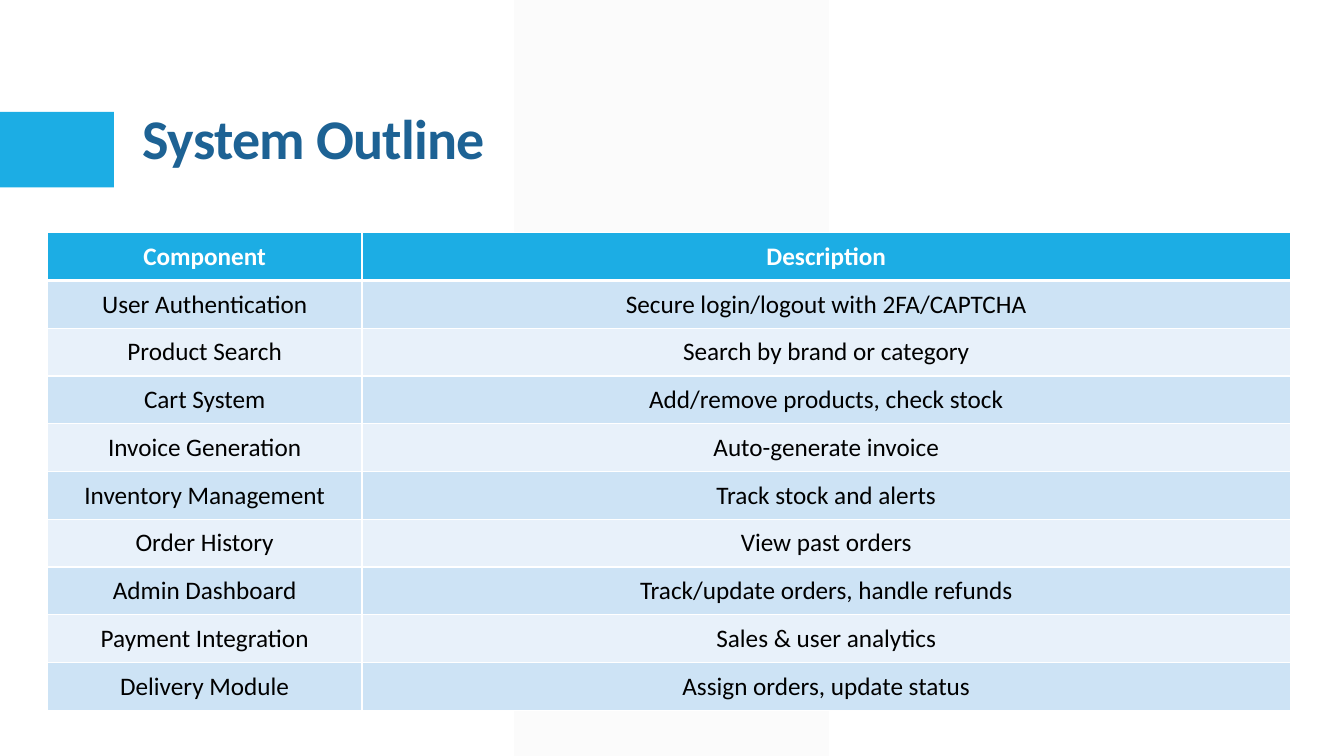
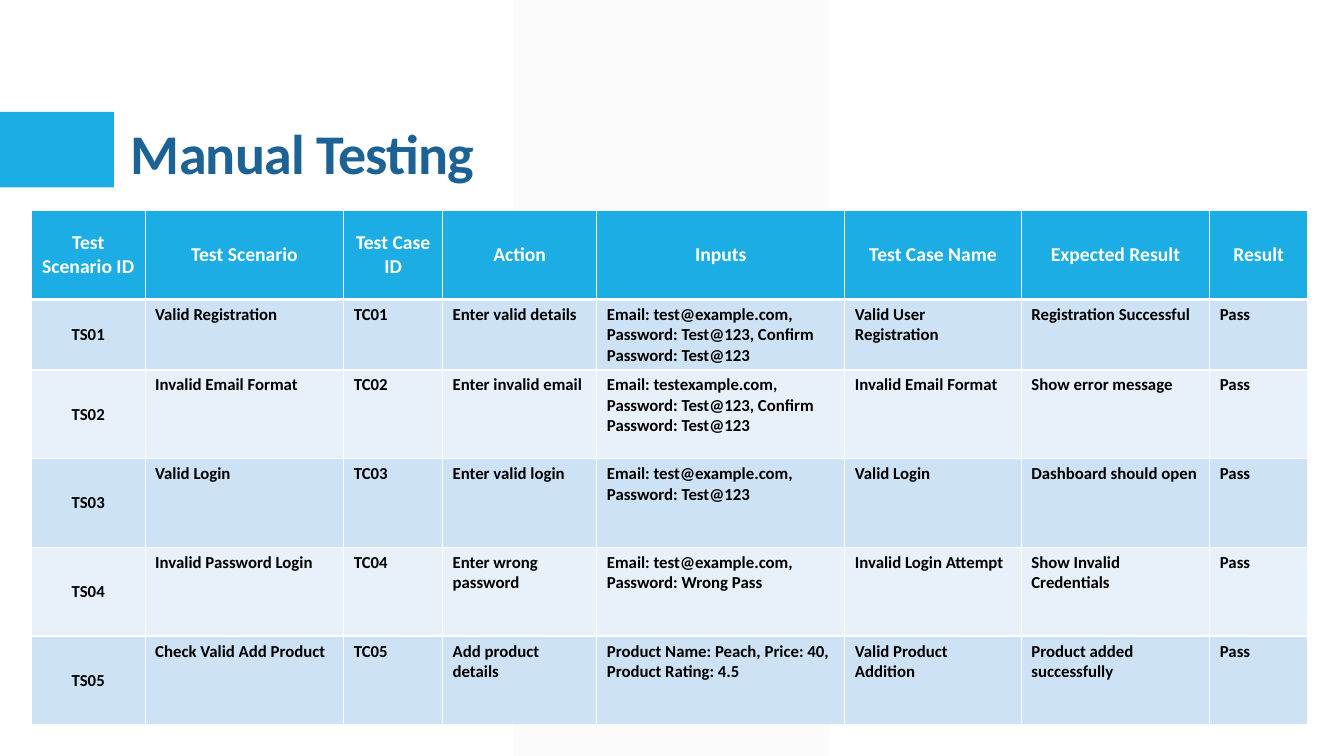
from lxml.etree import SubElement
from pptx import Presentation
from pptx.dml.color import RGBColor
from pptx.enum.shapes import MSO_SHAPE
from pptx.enum.text import MSO_ANCHOR, PP_ALIGN
from pptx.oxml.ns import qn
from pptx.util import Pt

PX = 9144
FONT = "Calibri"
COLORS = {
    "band": "F2F2F2",
    "accent": "1CADE4",
    "title": "1D6294",
    "white": "FFFFFF",
    "black": "000000",
    "odd": "CDE3F5",
    "even": "E8F1FA",
}

SLIDES = [
    {
        "title": "System Outline",
        "title_left": 132,
        "title_bottom": 175,
        "table": (47, 231, 1233, 474),
        "cols": [312, 921],
        "heights": None,
        "sizes": (18, 18),
        "body_bold": False,
        "centred_cols": 2,
        "rows": [
            ["Component", "Description"],
            ["User Authentication", "Secure login/logout with 2FA/CAPTCHA"],
            ["Product Search", "Search by brand or category"],
            ["Cart System", "Add/remove products, check stock"],
            ["Invoice Generation", "Auto-generate invoice"],
            ["Inventory Management", "Track stock and alerts"],
            ["Order History", "View past orders"],
            ["Admin Dashboard", "Track/update orders, handle refunds"],
            ["Payment Integration", "Sales & user analytics"],
            ["Delivery Module", "Assign orders, update status"],
        ],
    },
    {
        "title": "Manual Testing",
        "title_left": 120,
        "title_bottom": 190,
        "table": (31, 209, 1266, 508),
        "cols": [113, 197, 98, 153, 246, 175, 187, 97],
        "heights": [88, 68, 88, 88, 88, 88],
        "sizes": (14, 12),
        "body_bold": True,
        "centred_cols": 1,
        "rows": [
            ["Test Scenario ID", "Test Scenario", "Test Case ID", "Action",
             "Inputs", "Test Case Name", "Expected Result", "Result"],
            ["TS01", "Valid Registration", "TC01", "Enter valid details",
             "Email: test@example.com, Password: Test@123, Confirm Password: Test@123",
             "Valid User Registration", "Registration Successful", "Pass"],
            ["TS02", "Invalid Email Format", "TC02", "Enter invalid email",
             "Email: testexample.com, Password: Test@123, Confirm Password: Test@123",
             "Invalid Email Format", "Show error message", "Pass"],
            ["TS03", "Valid Login", "TC03", "Enter valid login",
             "Email: test@example.com, Password: Test@123",
             "Valid Login", "Dashboard should open", "Pass"],
            ["TS04", "Invalid Password Login", "TC04", "Enter wrong password",
             "Email: test@example.com, Password: Wrong Pass",
             "Invalid Login Attempt", "Show Invalid Credentials", "Pass"],
            ["TS05", "Check Valid Add Product", "TC05", "Add product details",
             "Product Name: Peach, Price: 40, Product Rating: 4.5",
             "Valid Product Addition", "Product added successfully", "Pass"],
        ],
    },
]


def style_font(font, size, color, bold):
    font.name = FONT
    font.size = Pt(size)
    font.bold = bold
    font.color.rgb = RGBColor.from_string(COLORS[color])


def add_border(cell, side, width):
    ln = SubElement(cell._tc.get_or_add_tcPr(), qn(f"a:ln{side}"), w=str(Pt(width)))
    SubElement(SubElement(ln, qn("a:solidFill")), qn("a:srgbClr"), val=COLORS["white"])


prs = Presentation()
prs.slide_width = 1333 * PX
prs.slide_height = 750 * PX

for data in SLIDES:
    s = prs.slides.add_slide(prs.slide_layouts[6])

    band = s.shapes.add_shape(MSO_SHAPE.PARALLELOGRAM, 510 * PX, 0, 312 * PX, 750 * PX)
    band.adjustments[0] = 0
    tab = s.shapes.add_shape(MSO_SHAPE.RECTANGLE, 0, 111 * PX, 113 * PX, 75 * PX)
    for sp, color in ((band, "band"), (tab, "accent")):
        sp.shadow.inherit = False
        sp.line.fill.background()
        sp.fill.solid()
        sp.fill.fore_color.rgb = RGBColor.from_string(COLORS[color])
    band_color = band._element.spPr.find(qn("a:solidFill")).find(qn("a:srgbClr"))
    SubElement(band_color, qn("a:alpha"), val="30000")

    title = s.shapes.add_textbox(data["title_left"] * PX, (data["title_bottom"] - 80) * PX,
                                 1100 * PX, 80 * PX)
    tf = title.text_frame
    tf.word_wrap = True
    tf.vertical_anchor = MSO_ANCHOR.BOTTOM
    tf.text = data["title"]
    p = tf.paragraphs[0]
    p.line_spacing = 0.9
    r = p.runs[0]
    style_font(r.font, 40, "title", True)
    r.font._element.set("spc", "-50")

    rows, cols = data["rows"], data["cols"]
    frame = s.shapes.add_table(len(rows), len(cols), *(v * PX for v in data["table"]))
    table = frame.table
    for column, width in zip(table.columns, cols):
        column.width = width * PX
    if data["heights"]:
        for row, height in zip(table.rows, data["heights"]):
            row.height = height * PX

    header_size, body_size = data["sizes"]
    for i, texts in enumerate(rows):
        header = i == 0
        fill = "accent" if header else "odd" if i % 2 else "even"
        for j, text in enumerate(texts):
            cell = table.cell(i, j)
            cell.text = text
            p = cell.text_frame.paragraphs[0]
            if header or j < data["centred_cols"]:
                p.alignment = PP_ALIGN.CENTER
                cell.vertical_anchor = MSO_ANCHOR.MIDDLE
            style_font(p.runs[0].font,
                       header_size if header else body_size,
                       "white" if header else "black",
                       header or data["body_bold"])
            top = 3 if i == 1 else 1
            bottom = 3 if header else 1
            for side, width in (("L", 1), ("R", 1), ("T", top), ("B", bottom)):
                add_border(cell, side, width)
            cell.fill.solid()
            cell.fill.fore_color.rgb = RGBColor.from_string(COLORS[fill])

prs.save("out.pptx")
